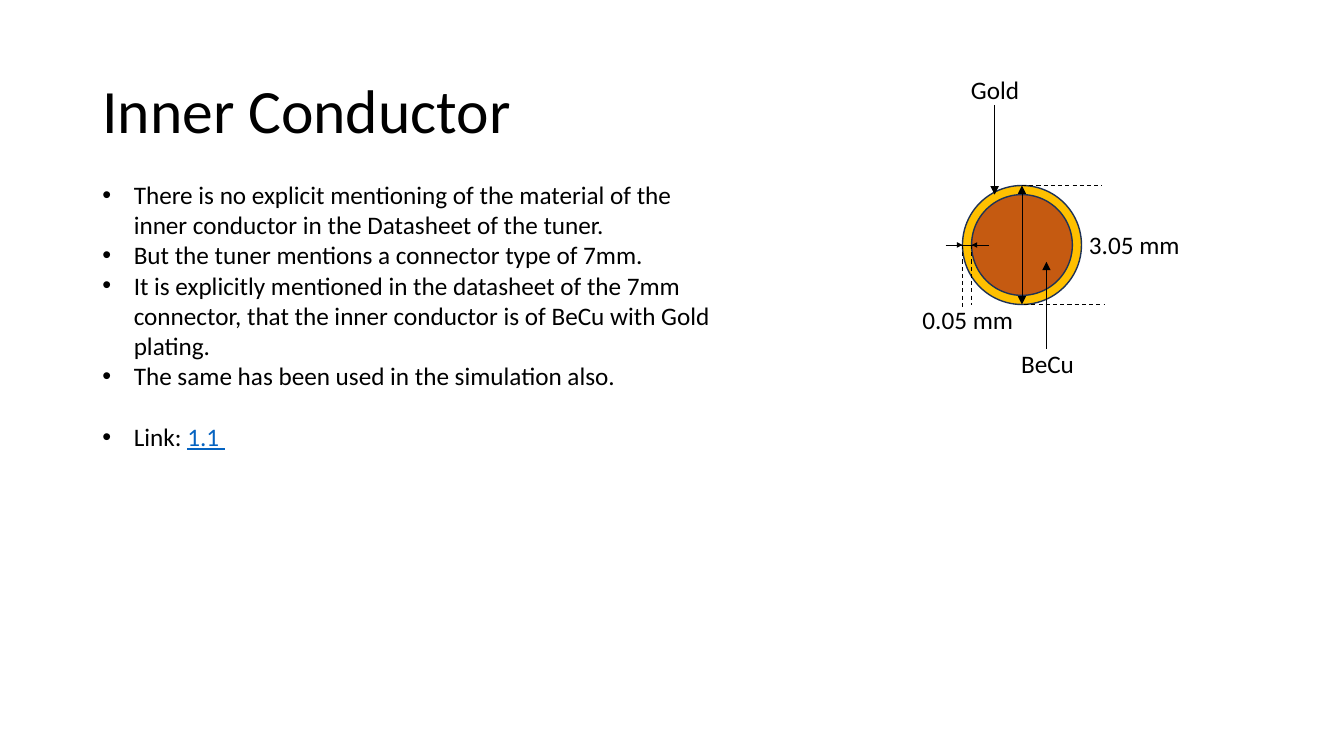
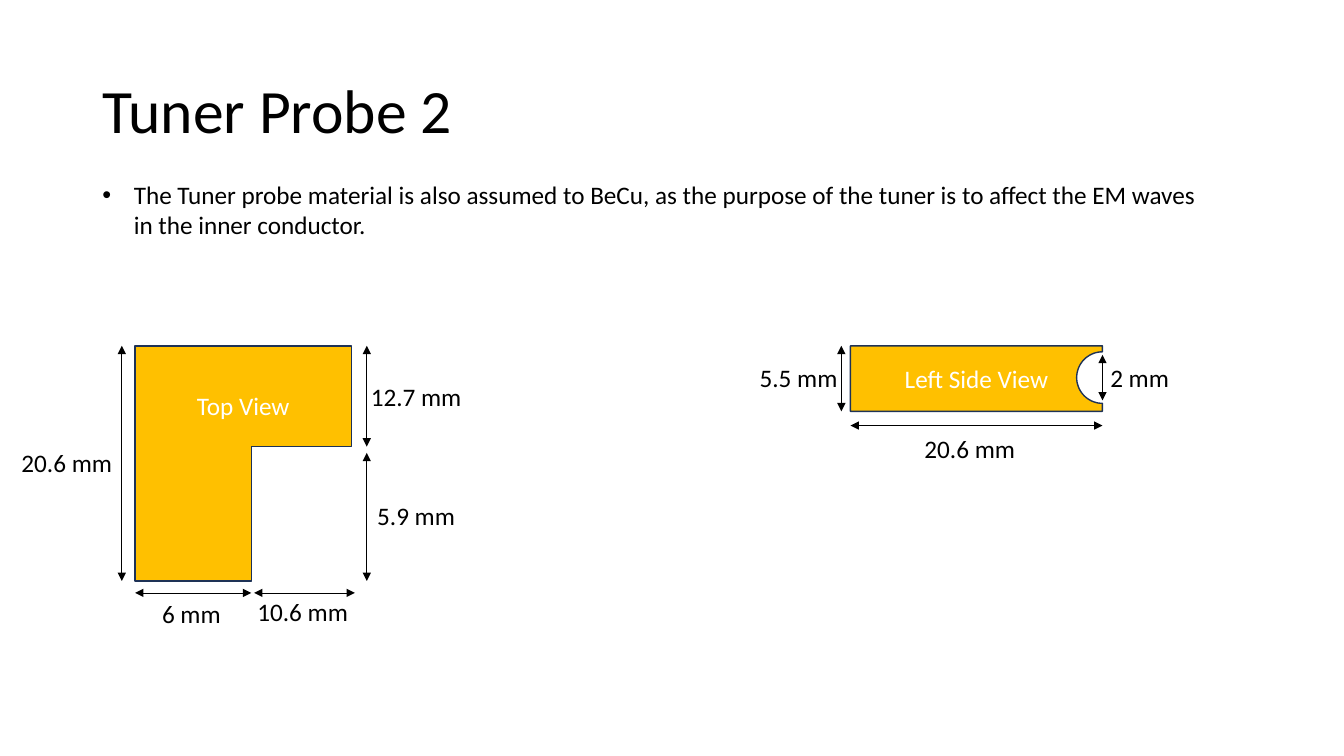
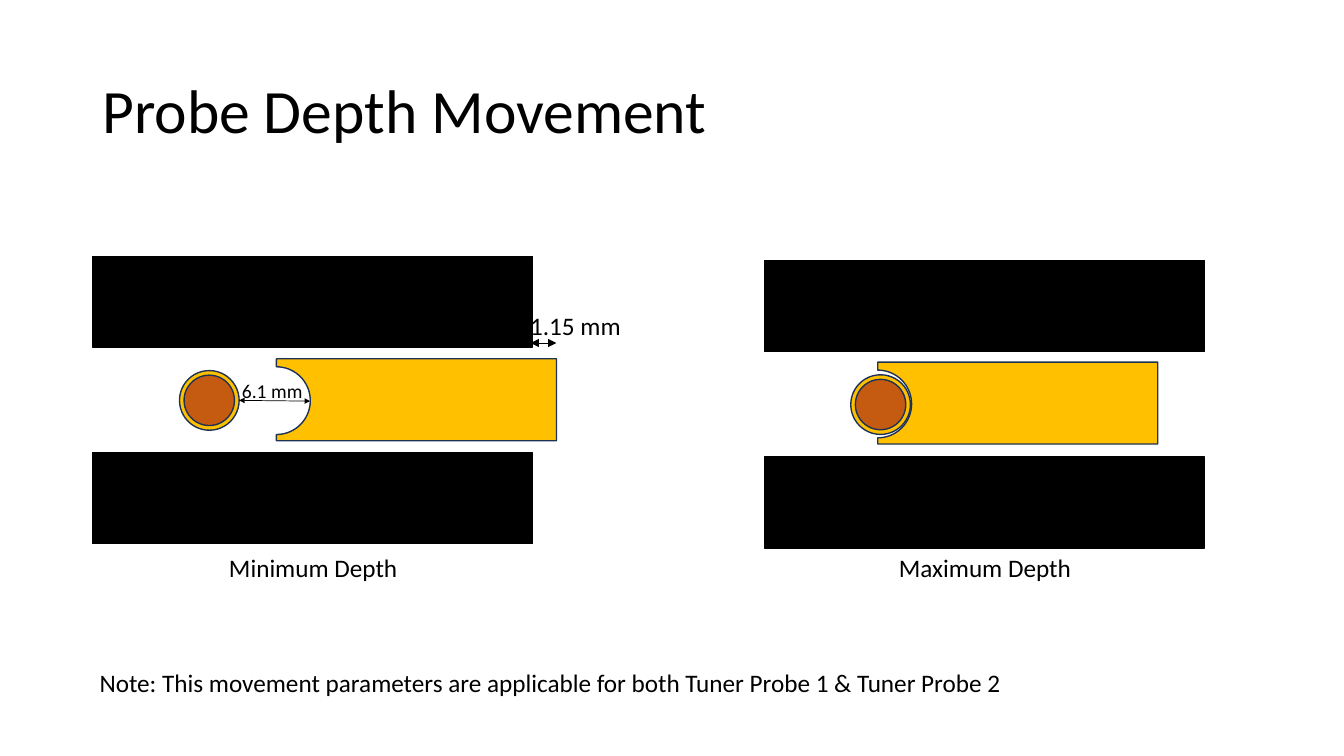
import math

import pptx
import pptx.dml.color
import pptx.enum.dml
import pptx.enum.shapes
import pptx.enum.text
import pptx.oxml
import pptx.oxml.ns
import pptx.util

Pt = pptx.util.Pt
ALIGN = pptx.enum.text.PP_ALIGN
ANCHOR = pptx.enum.text.MSO_ANCHOR
SHAPE = pptx.enum.shapes.MSO_SHAPE

COLORS = {"text": "000000", "white": "FFFFFF", "gold": "FFC000", "becu": "C55A11",
          "edge": "1E3256", "wall": "000000", "link": "0563C1"}
FONT = "Calibri"
BODY, SMALL, TITLE = 18, 14, 44
LABEL_H = 29
INDENT = 22.5
ALIGNS = {"l": ALIGN.LEFT, "c": ALIGN.CENTER, "r": ALIGN.RIGHT}

# Line styles: width, dash, arrowheads at start and end, arrowhead size
LINES = {
    "both": (0.5, False, True, True, "med"),
    "both_small": (0.5, False, True, True, "sm"),
    "end": (0.5, False, False, True, "med"),
    "end_small": (0.5, False, False, True, "sm"),
    "plain": (0.5, False, False, False, "med"),
    "dash": (0.75, True, False, False, "med"),
}

# Content: bullets are (text, link text, space before)
# labels are (text, left, top, width, align, size); lines are (x1, y1, x2, y2, style)
CONDUCTOR = {
    "title": "Inner Conductor",
    "bullet_width": 451.5,
    "bullets": [
        ("There is no explicit mentioning of the material of the inner conductor "
         "in the Datasheet of the tuner.", "", 0),
        ("But the tuner mentions a connector type of 7mm.", "", 0),
        ("It is explicitly mentioned in the datasheet of the 7mm connector, that the "
         "inner conductor is of BeCu with Gold plating.", "", 0),
        ("The same has been used in the simulation also.", "", 0),
        ("Link: ", "1.1 ", 21.6),
    ],
    "rods": [(730, 175, 42.5, 36)],
    "labels": [
        ("Gold", 638, 49.5, 145.5, "c", BODY),
        ("BeCu", 675.5, 245.5, 145.5, "c", BODY),
        ("3.05 mm ", 760.5, 160, 103.5, "c", BODY),
        ("0.05 mm", 639.5, 214, 103.5, "c", BODY),
    ],
    "lines": [
        (730, 132.5, 730, 217.5, "both"),
        (730, 132.5, 787, 132.5, "dash"),
        (731.5, 217.5, 788.5, 217.5, "dash"),
        (675.5, 175, 687.5, 175, "end_small"),
        (706.5, 175, 694, 175, "end_small"),
        (697, 175, 684.5, 175, "plain"),
        (694, 175, 694, 218, "dash"),
        (687.5, 175, 687.5, 219, "dash"),
        (747.5, 249, 747.5, 187, "end"),
        (710.5, 75, 710.5, 139, "end"),
    ],
}

PROBE = {
    "title": "Tuner Probe 2",
    "bullet_width": 798,
    "bullets": [
        ("The Tuner probe material is also assumed to BeCu, as the purpose of the tuner "
         "is to affect the EM waves in the inner conductor.", "", 0),
    ],
    # left, top, width, height, notch radius, notch centre, notch side, text
    "probes": [(607.5, 247, 180, 46.8, 18.4, 269.7, "right", "Left Side View")],
    "outline": [(96.5, 247), (251, 247), (251, 319), (179.5, 319), (179.5, 415), (96.5, 415)],
    "outline_text": ("Top View", 31.5),
    "labels": [
        ("20.6 mm ", 643, 306, 103.5, "c", BODY),
        ("6 mm ", 87, 423.5, 103.5, "c", BODY),
        ("2 mm", 786, 255, 103.5, "l", BODY),
        ("5.5 mm", 535.5, 255, 103.5, "l", BODY),
        ("20.6 mm ", -2, 316, 103.5, "c", BODY),
        ("10.6 mm ", 166.5, 422.5, 103.5, "c", BODY),
        ("12.7 mm ", 247.5, 268.5, 103.5, "c", BODY),
        ("5.9 mm ", 247.5, 354, 103.5, "c", BODY),
    ],
    "lines": [
        (87, 247, 87, 415, "both"),
        (179.5, 423.5, 96.5, 423.5, "both"),
        (253.5, 423.5, 181.5, 423.5, "both"),
        (262, 247, 262, 319, "both"),
        (262, 323.5, 262, 415, "both"),
        (787.5, 304, 607.5, 304, "both"),
        (787.5, 286, 787.5, 253.5, "both"),
        (601, 293.8, 601, 247, "both"),
    ],
}

DEPTH = {
    "title": "Probe Depth Movement",
    "walls": [(x, y + row * 140.4, 314.5, 65)
              for x, y in ((66, 183), (546, 186)) for row in range(2)],
    "rods": [(149.5, 286, 21.3, 18), (629, 289, 21.3, 18)],
    "probes": [(197.5, 256.3, 200, 58.5, 24.2, 286.2, "left", ""),
               (627, 258.7, 200, 58.5, 24.2, 288.6, "left", "")],
    "labels": [
        ("Minimum Depth", 156.5, 391, 135.5, "l", BODY),
        ("Maximum Depth", 635, 391, 141, "l", BODY),
        ("1.15 mm ", 356.5, 218, 98, "r", BODY),
        ("6.1 mm ", 147, 267, 98, "c", SMALL),
        ("Note: This movement parameters are applicable for both Tuner Probe 1 & Tuner Probe 2",
         64, 473, 738.5, "l", BODY),
    ],
    "lines": [
        (221.5, 286.5, 170.8, 286, "both_small"),
        (397.5, 245, 379, 245, "both"),
    ],
}


def rgb(name):
    return pptx.dml.color.RGBColor.from_string(COLORS[name])


def child(parent, tag, **attrs):
    el = parent.makeelement(pptx.oxml.ns.qn(tag), attrs)
    parent.append(el)
    return el


def add_run(p, text, size=BODY, color="text", underline=None):
    r = p.add_run()
    r.text = text
    for key, value in {"name": FONT, "size": Pt(size), "underline": underline}.items():
        setattr(r.font, key, value)
    r.font.color.rgb = rgb(color)


def text_box(s, x, y, w, h, anchor=ANCHOR.TOP):
    tf = s.shapes.add_textbox(*map(Pt, (x, y, w, h))).text_frame
    for key, value in {"word_wrap": True, "vertical_anchor": anchor}.items():
        setattr(tf, key, value)
    return tf


def add_title(s, text):
    p = text_box(s, 66, 29, 828, 104.4, ANCHOR.MIDDLE).paragraphs[0]
    p.line_spacing = 0.9
    add_run(p, text, TITLE)


def add_bullets(s, items, width):
    tf = text_box(s, 66, 124.5, width, LABEL_H)
    for i, (text, link, before) in enumerate(items):
        p = tf.add_paragraph() if i else tf.paragraphs[0]
        p.space_before = Pt(before)
        pPr = p._p.get_or_add_pPr()
        pPr.set("marL", str(Pt(INDENT)))
        pPr.set("indent", str(-Pt(INDENT)))
        child(pPr, "a:buFont", typeface="Arial")
        child(pPr, "a:buChar", char="•")
        add_run(p, text)
        if link:
            add_run(p, link, color="link", underline=True)


def add_label(s, text, x, y, w, align, size):
    p = text_box(s, x, y, w, LABEL_H).paragraphs[0]
    p.alignment = ALIGNS[align]
    add_run(p, text, size)


def paint(sp, fill, edge="edge"):
    sp.shadow.inherit = False
    sp.fill.solid()
    sp.fill.fore_color.rgb = rgb(fill)
    sp.line.color.rgb = rgb(edge)
    sp.line.width = Pt(1)


def add_wall(s, *box):
    paint(s.shapes.add_shape(SHAPE.RECTANGLE, *map(Pt, box)), "wall", "wall")


def add_rod(s, cx, cy, outer, inner):
    for radius, fill in ((outer, "gold"), (inner, "becu")):
        box = (cx - radius, cy - radius, 2 * radius, 2 * radius)
        paint(s.shapes.add_shape(SHAPE.OVAL, *map(Pt, box)), fill)


def add_outline(s, points, text="", top_inset=None):
    points = [(Pt(x), Pt(y)) for x, y in points]
    builder = s.shapes.build_freeform(*points[0], scale=1.0)
    builder.add_line_segments(points[1:], close=True)
    sp = builder.convert_to_shape()
    paint(sp, "gold")
    if text:
        tf = sp.text_frame
        tf.vertical_anchor = ANCHOR.MIDDLE
        if top_inset is not None:
            tf.vertical_anchor = ANCHOR.TOP
            tf.margin_top = Pt(top_inset)
        tf.paragraphs[0].alignment = ALIGN.CENTER
        add_run(tf.paragraphs[0], text, color="white")


def add_probe(s, x, y, w, h, radius, cy, side, text):
    """Bar with a half-round notch in its left or right end."""
    steps = 36
    points = [(x, y), (x + w, y), (x + w, y + h), (x, y + h)]
    for i in range(steps + 1):
        a = math.pi * i / steps
        points.append((x + radius * math.sin(a), cy + radius * math.cos(a)))
    if side == "right":
        points = [(2 * x + w - px, py) for px, py in points]
    add_outline(s, points, text)


def add_line(s, x1, y1, x2, y2, style):
    width, dashed, head, tail, size = LINES[style]
    c = s.shapes.add_connector(pptx.enum.shapes.MSO_CONNECTOR.STRAIGHT,
                               *map(Pt, (x1, y1, x2, y2)))
    c.line.width = Pt(width)
    c.line.color.rgb = rgb("text")
    if dashed:
        c.line.dash_style = pptx.enum.dml.MSO_LINE.DASH
    ln = c.line._get_or_add_ln()
    for tag, wanted in (("a:headEnd", head), ("a:tailEnd", tail)):
        if wanted:
            child(ln, tag, type="triangle", w=size, len=size)
    child(c._element.spPr, "a:effectLst")


def build_slide(prs, data):
    s = prs.slides.add_slide(prs.slide_layouts[6])
    add_title(s, data["title"])
    if "bullets" in data:
        add_bullets(s, data["bullets"], data["bullet_width"])
    if "outline" in data:
        add_outline(s, data["outline"], *data["outline_text"])
    for key, draw in (("walls", add_wall), ("rods", add_rod), ("probes", add_probe),
                      ("lines", add_line), ("labels", add_label)):
        for item in data.get(key, []):
            draw(s, *item)


def main():
    prs = pptx.Presentation()
    prs.slide_width, prs.slide_height = Pt(960), Pt(540)
    for data in (CONDUCTOR, PROBE, DEPTH):
        build_slide(prs, data)
    prs.save("out.pptx")


if __name__ == "__main__":
    main()
